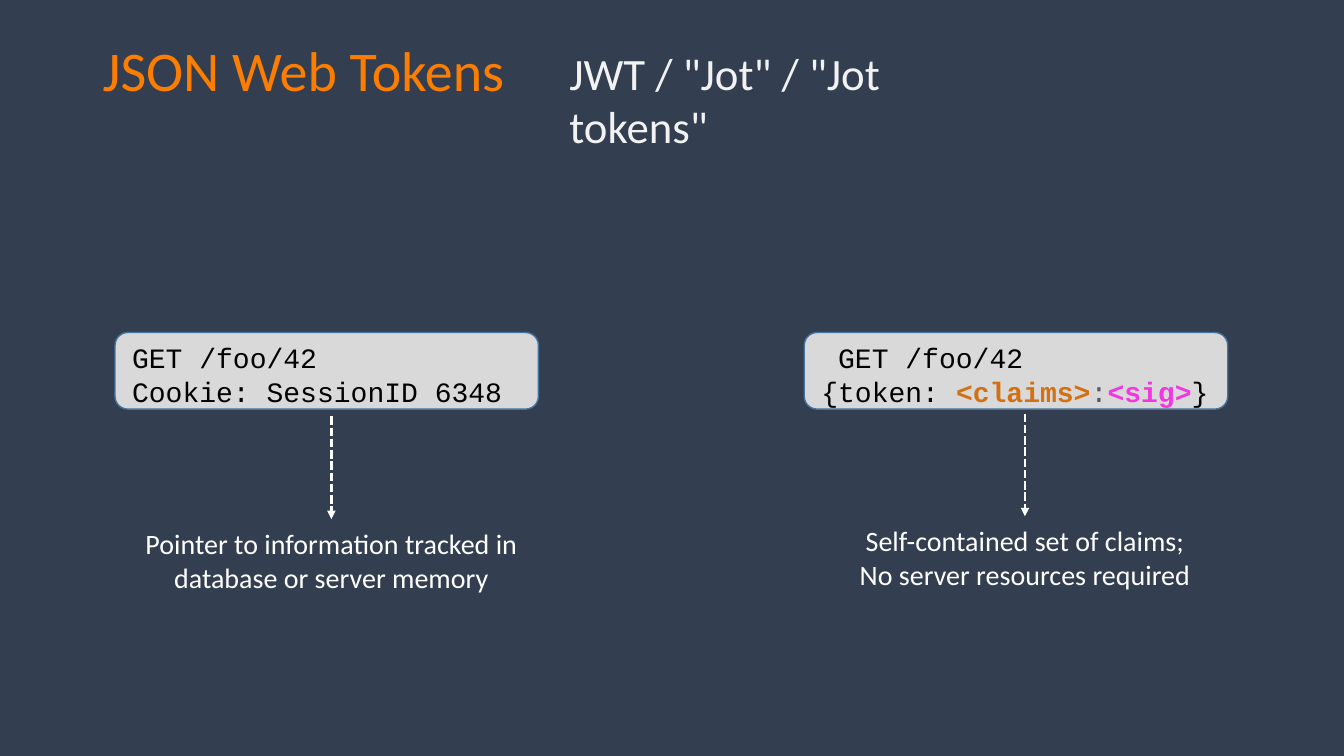
from dataclasses import dataclass

from lxml.etree import SubElement
from pptx import Presentation
from pptx.dml.color import RGBColor
from pptx.enum.dml import MSO_LINE
from pptx.enum.shapes import MSO_CONNECTOR, MSO_SHAPE
from pptx.enum.text import PP_ALIGN
from pptx.oxml.ns import qn
from pptx.util import Cm, Pt


@dataclass(frozen=True)
class Theme:
    background: str = "333F50"
    title: str = "FD7D00"
    subtitle: str = "F2F2F2"
    light: str = "FFFFFF"
    panel: str = "D9D9D9"
    panel_edge: str = "43739E"
    code: str = "000000"
    claims: str = "D37011"
    separator: str = "595959"
    signature: str = "F237E0"
    text_font: str = "Calibri"
    code_font: str = "Courier New"
    title_size: int = 40
    subtitle_size: int = 32
    body_size: int = 20


THEME = Theme()

# Each line is a list of (text, colour, bold) spans.
TITLE = [[("JSON Web Tokens", THEME.title, False)]]
SUBTITLE = [[('JWT / "Jot" / "Jot tokens"', THEME.subtitle, False)]]
REQUESTS = [
    {
        "left": 2.9,
        "code": [
            [("GET /foo/42", THEME.code, False)],
            [("Cookie: SessionID 6348", THEME.code, False)],
        ],
        "note": ["Pointer to information tracked in database or server memory"],
        "note_left": 3.4,
        "arrow_top": 10.49,
    },
    {
        "left": 20.27,
        "code": [
            [(" GET /foo/42", THEME.code, False)],
            [
                ("{token: ", THEME.code, False),
                ("<claims>", THEME.claims, True),
                (":", THEME.separator, False),
                ("<sig>", THEME.signature, True),
                ("}", THEME.code, False),
            ],
        ],
        "note": ["Self-contained set of claims;", "No server resources required"],
        "note_left": 20.88,
        "arrow_top": 10.42,
    },
]

PANEL_TOP, PANEL_WIDTH, PANEL_HEIGHT = 8.38, 10.67, 1.93
CODE_INSET, CODE_DROP, CODE_WIDTH = 0.18, 0.08, 10.34
NOTE_WIDTH, TEXT_HEIGHT = 9.9, 1.96
ARROW_LENGTH, NOTE_GAP = 2.59, 0.06


def colour(code):
    return RGBColor.from_string(code)


def add_text(slide, lines, place, size, font=THEME.text_font, align=PP_ALIGN.LEFT):
    box = slide.shapes.add_textbox(*map(Cm, place))
    frame = box.text_frame
    frame.word_wrap = True
    for index, line in enumerate(lines):
        para = frame.add_paragraph() if index else frame.paragraphs[0]
        para.alignment = align
        for text, ink, bold in line:
            span = para.add_run()
            span.text = text
            span.font.name = font
            span.font.size = Pt(size)
            span.font.bold = bold
            span.font.color.rgb = colour(ink)


def add_panel(slide, left):
    panel = slide.shapes.add_shape(
        MSO_SHAPE.ROUNDED_RECTANGLE,
        Cm(left), Cm(PANEL_TOP), Cm(PANEL_WIDTH), Cm(PANEL_HEIGHT),
    )
    panel.shadow.inherit = False
    panel.fill.solid()
    panel.fill.fore_color.rgb = colour(THEME.panel)
    panel.line.color.rgb = colour(THEME.panel_edge)
    panel.line.width = Pt(1)


def add_down_arrow(slide, x, top):
    arrow = slide.shapes.add_connector(
        MSO_CONNECTOR.STRAIGHT, Cm(x), Cm(top), Cm(x), Cm(top + ARROW_LENGTH)
    )
    arrow.line.color.rgb = colour(THEME.light)
    arrow.line.width = Pt(2)
    arrow.line.dash_style = MSO_LINE.SQUARE_DOT
    properties = arrow._element.spPr
    SubElement(properties.find(qn("a:ln")), qn("a:tailEnd"), type="triangle")
    SubElement(properties, qn("a:effectLst"))


def add_request(slide, request):
    """Draw a request panel with an arrow down to its explanation."""
    left, note_left = request["left"], request["note_left"]
    add_panel(slide, left)
    add_text(
        slide, request["code"],
        (left + CODE_INSET, PANEL_TOP + CODE_DROP, CODE_WIDTH, TEXT_HEIGHT),
        THEME.body_size, THEME.code_font,
    )
    add_down_arrow(slide, note_left + NOTE_WIDTH / 2, request["arrow_top"])
    add_text(
        slide, [[(line, THEME.light, False)] for line in request["note"]],
        (note_left, request["arrow_top"] + ARROW_LENGTH + NOTE_GAP,
         NOTE_WIDTH, TEXT_HEIGHT),
        THEME.body_size, align=PP_ALIGN.CENTER,
    )


def main():
    deck = Presentation()
    deck.slide_width, deck.slide_height = Cm(33.87), Cm(19.05)
    slide = deck.slides.add_slide(deck.slide_layouts[6])
    slide.background.fill.solid()
    slide.background.fill.fore_color.rgb = colour(THEME.background)
    for request in REQUESTS:
        add_request(slide, request)
    add_text(slide, SUBTITLE, (14.1, 1.02, 11.86, 1.63), THEME.subtitle_size)
    add_text(slide, TITLE, (2.34, 0.76, 17.73, 1.96), THEME.title_size)
    deck.save("out.pptx")


if __name__ == "__main__":
    main()
